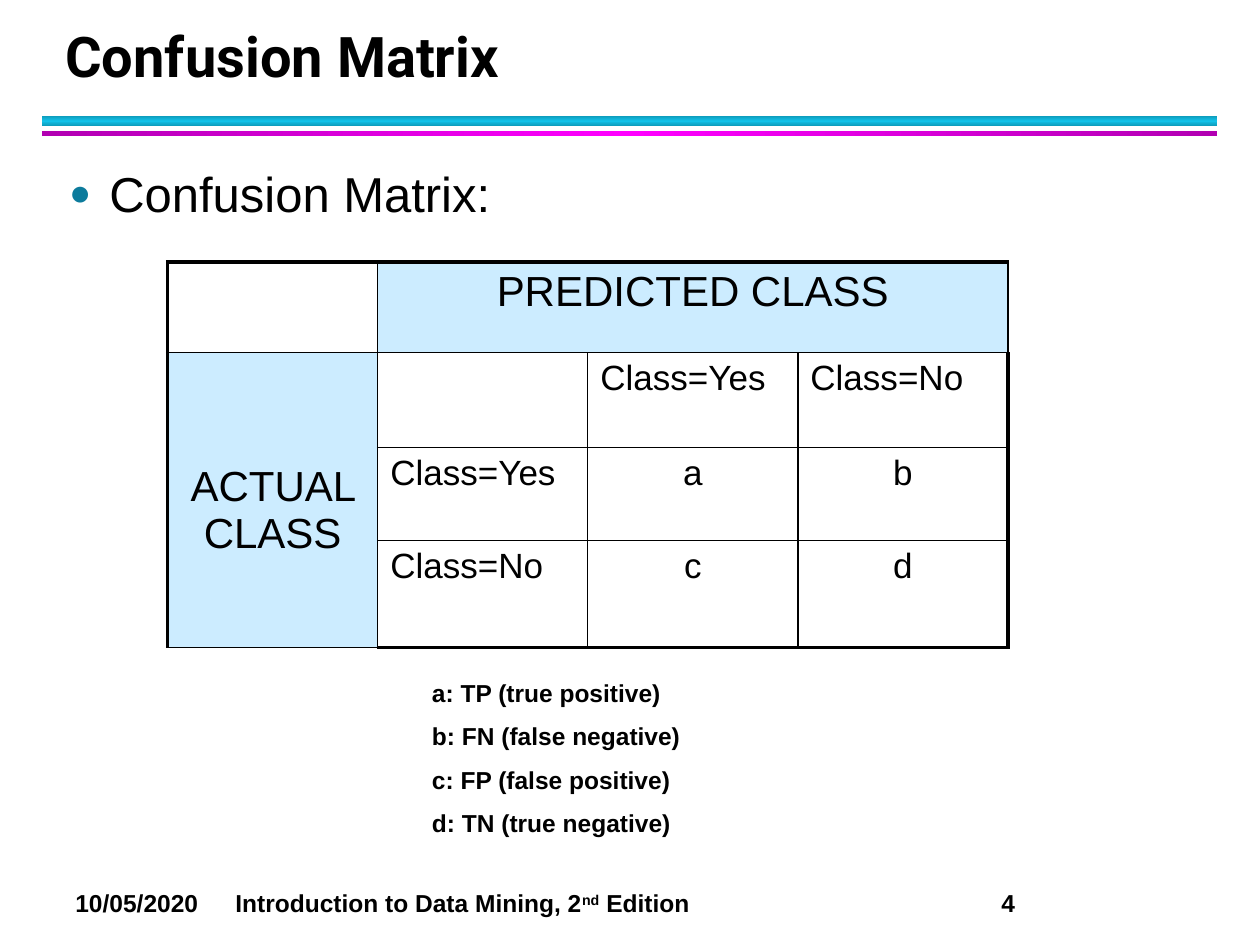
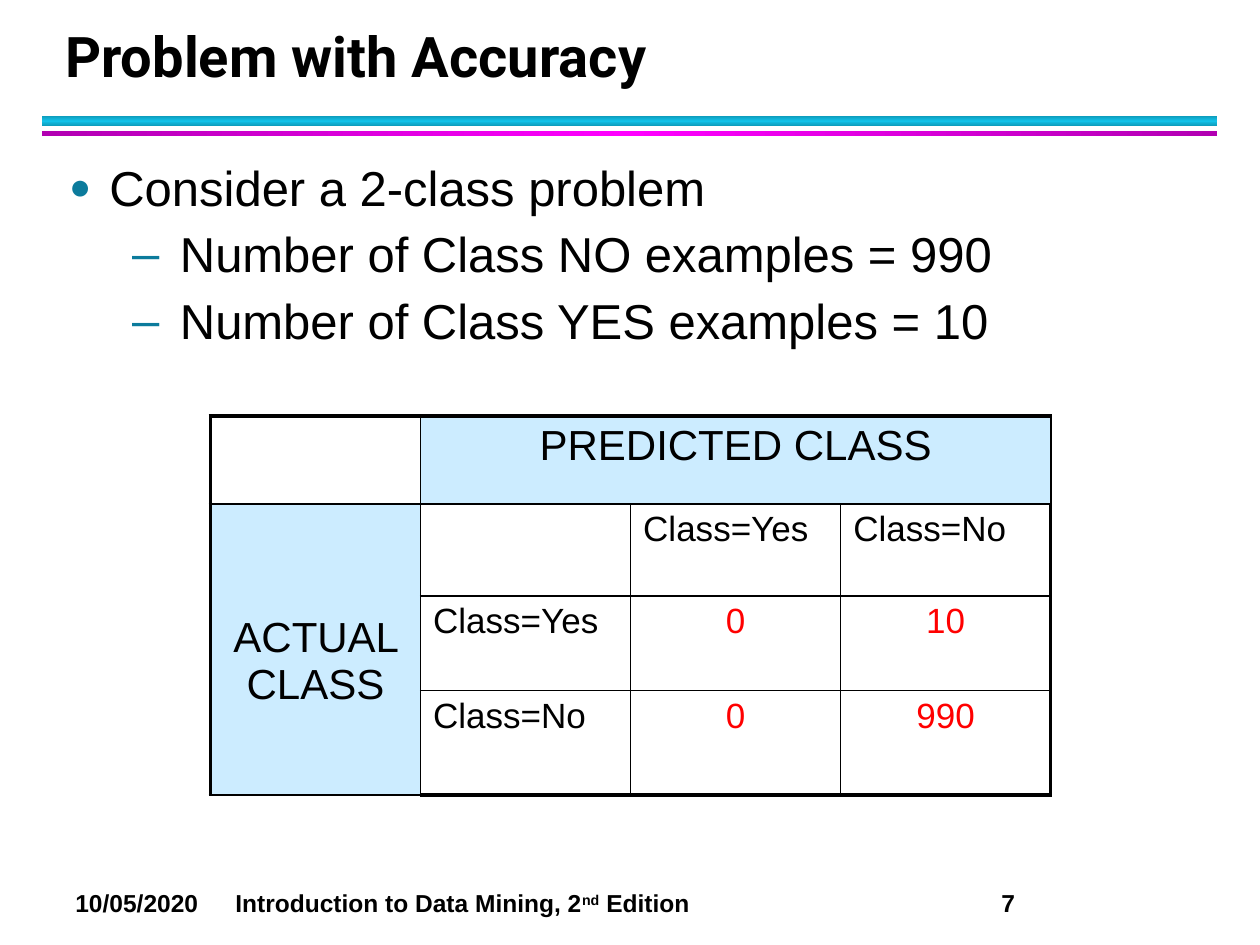
from lxml import etree
from pptx import Presentation
from pptx.dml.color import RGBColor
from pptx.enum.shapes import MSO_SHAPE
from pptx.enum.text import MSO_ANCHOR, PP_ALIGN
from pptx.oxml.ns import qn
from pptx.util import Inches, Pt

RECT = MSO_SHAPE.RECTANGLE
BOTTOM = MSO_ANCHOR.BOTTOM
LEFT, CENTER = PP_ALIGN.LEFT, PP_ALIGN.CENTER

BLACK, RED, PALE_BLUE, TEAL = "000000", "FF0000", "CCECFF", "0C7B9C"

# Text styles
TITLE = dict(size=Pt(32), name="Roboto", bold=True)
BODY = dict(size=Pt(28), name="Arial")
SMALL = dict(size=Pt(14), name="Arial", bold=True)
HEADING = dict(size=Pt(24), name="Arial")
CELL = dict(size=Pt(20), name="Arial")

# Bands under the title: top, height, edge colour, middle colour, angle
BANDS = [(0.92, 0.08, "0E9BBA", "12C2E9", 90),
         (1.04, 0.04, "B200B2", "FF00FF", 0)]

# Bullet levels: left margin, hanging indent, character, size in percent
LEVELS = [(0.32, 0.32, "●", 75), (0.88, 0.38, "–", 100)]


def rgb(color):
    return RGBColor.from_string(color)


def add_xml(parent, tag, **attrs):
    el = etree.SubElement(parent, qn(tag))
    for key, value in attrs.items():
        el.set(key, str(value))
    return el


def add_run(p, text, style, color=BLACK):
    r = p.add_run()
    r.text = text
    for key, value in style.items():
        setattr(r.font, key, value)
    r.font.color.rgb = rgb(color)
    return r


def add_text_box(s, box):
    tf = s.shapes.add_textbox(*map(Inches, box)).text_frame
    tf.word_wrap = True
    return tf


def next_paragraph(tf, index, **fmt):
    p = tf.add_paragraph() if index else tf.paragraphs[0]
    for key, value in fmt.items():
        setattr(p, key, value)
    return p


def add_band(s, box, edge, middle, angle):
    sp = s.shapes.add_shape(RECT, *map(Inches, box))
    sp.shadow.inherit = False
    sp.line.fill.background()
    sp.fill.gradient()
    sp.fill.gradient_angle = angle
    stops = next(sp._element.iter(qn("a:gsLst")))
    for stop in list(stops):
        stops.remove(stop)
    for pos, color in ((0, edge), (50000, middle), (100000, edge)):
        add_xml(add_xml(stops, "a:gs", pos=pos), "a:srgbClr", val=color)


def add_footer(s, box, number):
    p = add_text_box(s, box).paragraphs[0]
    add_run(p, "10/05/2020\tIntroduction to Data Mining, 2", SMALL)
    r = add_run(p, "nd", SMALL)
    r._r.get_or_add_rPr().set("baseline", "30000")
    add_run(p, f" Edition\t{number}", SMALL)
    tabs = add_xml(p._p.get_or_add_pPr(), "a:tabLst")
    for stop in (1.27, 7.35):
        add_xml(tabs, "a:tab", pos=Inches(stop), algn="l")


def add_frame(prs, title, number):
    """Add a slide with the shared bands, footer and title."""
    s = prs.slides.add_slide(prs.slide_layouts[6])
    for top, height, edge, middle, angle in BANDS:
        add_band(s, (0.33, top, 9.33, height), edge, middle, angle)
    add_footer(s, (0.5, 7, 9.33, 0.34), number)
    tf = add_text_box(s, (0.42, 0.17, 9.06, 0.58))
    tf.vertical_anchor = BOTTOM
    add_run(next_paragraph(tf, 0, line_spacing=Pt(36)), title, TITLE)
    return s


def add_bullets(s, box, items, spacing=1.0):
    tf = add_text_box(s, box)
    for i, (level, text) in enumerate(items):
        p = next_paragraph(tf, i, level=level, line_spacing=spacing,
                           space_before=Pt(4 if i else 0), space_after=Pt(4))
        margin, hang, char, percent = LEVELS[level]
        pPr = p._p.get_or_add_pPr()
        pPr.set("marL", str(Inches(margin)))
        pPr.set("indent", str(-Inches(hang)))
        add_xml(add_xml(pPr, "a:buClr"), "a:srgbClr", val=TEAL)
        add_xml(pPr, "a:buSzPct", val=percent * 1000)
        add_xml(pPr, "a:buFont", typeface="Arial")
        add_xml(pPr, "a:buChar", char=char)
        add_run(p, text, BODY)


def add_legend(s, box, lines):
    tf = add_text_box(s, box)
    for i, line in enumerate(lines):
        p = next_paragraph(tf, i, space_before=Pt(8 if i else 0))
        add_run(p, line, SMALL)


def set_borders(cell, row, col, last):
    """Thick lines on the outside of the table, thin lines inside."""
    tcPr = cell._tc.get_or_add_tcPr()
    sides = {"a:lnL": col == 0, "a:lnR": col == last,
             "a:lnT": row == 0, "a:lnB": row == last}
    for tag, outer in sides.items():
        ln = add_xml(tcPr, tag, w=Pt(2.25 if outer else 1))
        add_xml(add_xml(ln, "a:solidFill"), "a:srgbClr", val=BLACK)


def add_confusion_matrix(s, left, top, row_heights, counts, color=BLACK):
    n = len(row_heights)
    width = 6.67
    table = s.shapes.add_table(n, n, Inches(left), Inches(top), Inches(width),
                               Inches(sum(row_heights))).table
    table.first_row = table.horz_banding = False
    for row, height in zip(table.rows, row_heights):
        row.height = Inches(height)
    for column in table.columns:
        column.width = Inches(width / n)

    # Grid lines and fills
    for i in range(n):
        for j in range(n):
            cell = table.cell(i, j)
            set_borders(cell, i, j, n - 1)
            if (i == 0) != (j == 0):
                cell.fill.solid()
                cell.fill.fore_color.rgb = rgb(PALE_BLUE)
            else:
                cell.fill.background()

    def write(row, col, text, style=CELL, align=LEFT, color=BLACK):
        p = table.cell(row, col).text_frame.paragraphs[0]
        p.alignment = align
        add_run(p, text, style, color)

    # Merged headings
    table.cell(0, 1).merge(table.cell(0, n - 1))
    table.cell(1, 0).merge(table.cell(n - 1, 0))
    write(0, 1, "PREDICTED CLASS", HEADING, CENTER)
    write(1, 0, "ACTUAL CLASS", HEADING, CENTER)
    table.cell(1, 0).margin_top = Inches(0.88)

    # Class labels and counts
    for i, label in enumerate(("Class=Yes", "Class=No"), start=2):
        write(1, i, label)
        write(i, 1, label)
        for j, count in enumerate(counts[i - 2], start=2):
            write(i, j, count, align=CENTER, color=color)


def main():
    prs = Presentation()
    prs.slide_width, prs.slide_height = Inches(10), Inches(7.5)
    body = (0.45, 1.25, 9.1, 5.67)

    # Confusion matrix
    s = add_frame(prs, "Confusion Matrix", 4)
    add_bullets(s, body, [(0, "Confusion Matrix:")])
    add_confusion_matrix(s, 1.33, 2.08, (0.72, 0.75, 0.74, 0.85),
                         (("a", "b"), ("c", "d")))
    add_legend(s, (3.33, 5.33, 2.42, 1.38),
               ("a: TP (true positive)", "b: FN (false negative)",
                "c: FP (false positive)", "d: TN (true negative)"))

    # Problem with accuracy
    s = add_frame(prs, "Problem with Accuracy", 7)
    add_bullets(s, body, [(0, "Consider a 2-class problem"),
                          (1, "Number of Class NO examples = 990"),
                          (1, "Number of Class YES examples = 10")], 0.9)
    add_confusion_matrix(s, 1.67, 3.3, (0.7, 0.73, 0.75, 0.83),
                         (("0", "10"), ("0", "990")), RED)

    prs.save("out.pptx")


if __name__ == "__main__":
    main()
